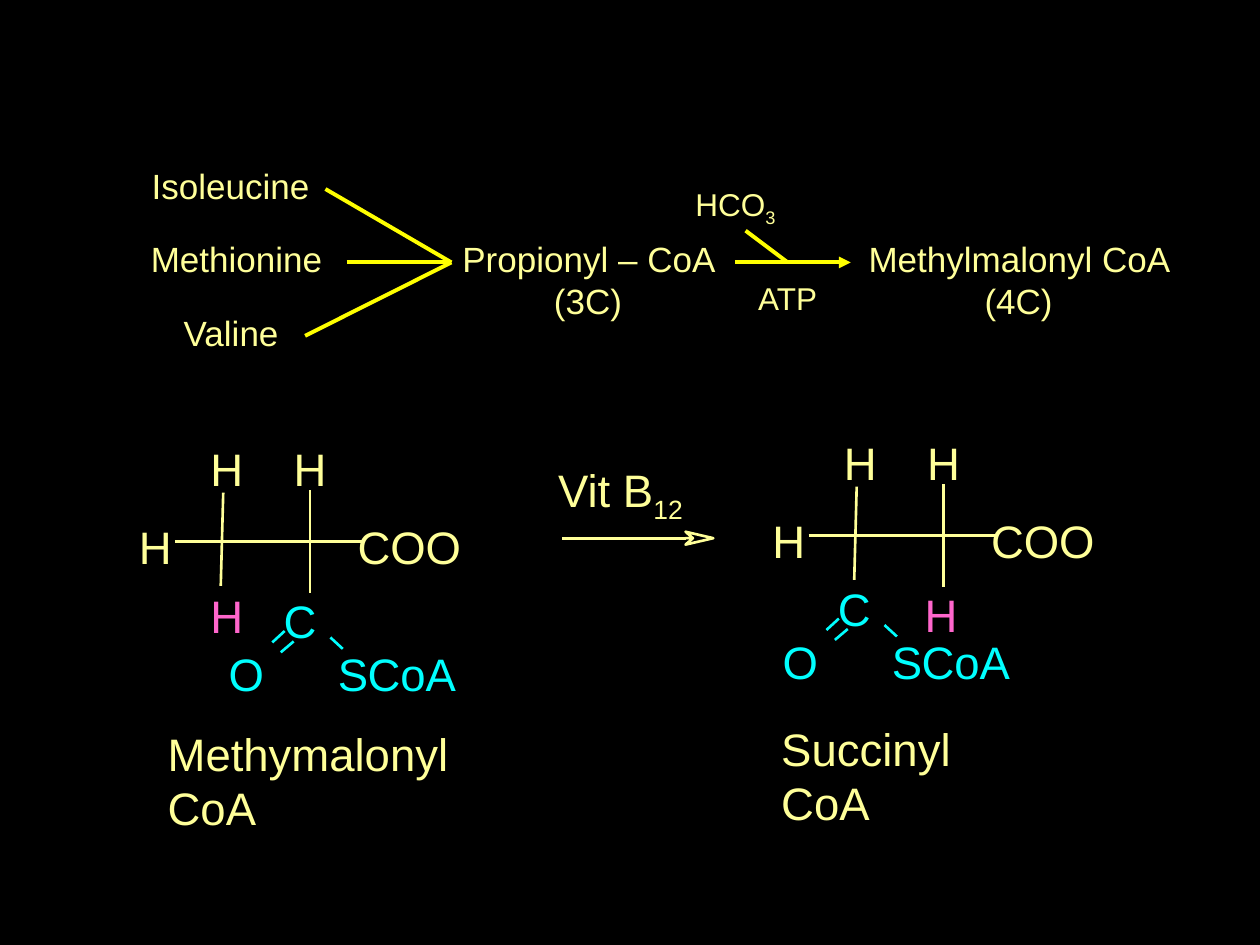
"""Build a slide on the path from amino acids to succinyl CoA."""
from lxml.etree import SubElement as Sub
from pptx import Presentation as Deck
from pptx.dml.color import RGBColor as Rgb
from pptx.enum.shapes import MSO_CONNECTOR as Link
from pptx.enum.text import MSO_ANCHOR as Anchor, PP_ALIGN as Align
from pptx.oxml.ns import qn
from pptx.util import Cm, Pt

HUES = {"back": "000000", "text": "FFFF99", "path": "FFFF00",
        "thio": "00FFFF", "move": "FF66CC"}
WIDTHS = {"H": 0.66, "C": 0.66, "O": 0.71, "S": 0.6, "o": 0.51, "A": 0.6}


def hue(name):
    """Return a named colour."""
    return Rgb.from_string(HUES[name])


def add_text(slide, box, runs, size=26, tone="text", align=Align.LEFT,
             pad=0.0, wrap=False):
    """Add a text box from (text, is_subscript) runs."""
    frame = slide.shapes.add_textbox(*map(Cm, box)).text_frame
    frame.word_wrap = wrap
    frame.vertical_anchor = Anchor.TOP
    frame.margin_left = frame.margin_right = Cm(2 * pad)
    frame.margin_top = frame.margin_bottom = Cm(pad)
    para = frame.paragraphs[0]
    para.alignment = align
    for text, sub in runs:
        run = para.add_run()
        run.text = text
        run.font.name = "Arial"
        run.font.size = Pt(size)
        run.font.color.rgb = hue(tone)
        if sub:
            run.font._element.set("baseline", "-25000")


def add_label(slide, box, runs, size=20, align=Align.CENTER):
    """Add a padded, wrapping label of the upper path."""
    add_text(slide, box, runs, size, align=align, pad=0.13, wrap=True)


def add_line(slide, ends, tone="text", width=1.5, head=False):
    """Add a straight line, with an arrowhead if asked."""
    line = slide.shapes.add_connector(Link.STRAIGHT, *map(Cm, ends))
    line.line.color.rgb = hue(tone)
    line.line.width = Pt(width)
    if head:
        Sub(line.line._get_or_add_ln(), qn("a:tailEnd"), type="triangle")
    Sub(line._element.spPr, qn("a:effectLst"))


def add_atoms(slide, x, y, atoms, tone="text"):
    """Set atom letters side by side."""
    for atom in atoms:
        add_text(slide, (x, y, WIDTHS[atom], 1.09), [(atom, False)], tone=tone)
        x += WIDTHS[atom]


def add_group(slide, x, y, atoms, bonds, tone="text"):
    """Place atoms and bonds around one point."""
    for dx, dy, name in atoms:
        add_atoms(slide, x + dx, y + dy, name, tone)
    for x1, y1, x2, y2 in bonds:
        add_line(slide, (x + x1, y + y1, x + x2, y + y2), tone)


def add_model(slide, core, thio, move):
    """Draw one molecule: carbon core, thioester and moving hydrogen."""
    add_group(slide, *core,
              [(-3.45, -0.46, "H"), (-2.01, -2.03, "H"),
               (-0.33, -2.03, "H"), (0.96, -0.46, "COO")],
              [(-2.72, 0, 0, 0), (0, 0, 0, -1.04), (0, 0, 1.06, 0),
               (0, 0, 0, 1.04), (-1.75, -0.99, -1.8, 0.89)])
    add_group(slide, *thio,
              [(0, 0, "C"), (-1.11, 1.07, "O"), (1.09, 1.07, "SCoA")],
              [(0.02, 0.76, -0.23, 0.99), (0.2, 0.97, -0.06, 1.19),
               (0.94, 0.89, 1.19, 1.12)], "thio")
    add_atoms(slide, *move, "H", "move")


def add_barb(slide, x, y):
    """Add the open barbed head of the reaction arrow."""
    tips = [(0.15, 0), (0, -0.13), (0.56, 0), (0, 0.13), (0.15, 0)]
    form = slide.shapes.build_freeform(Cm(x), Cm(y))
    form.add_line_segments([(Cm(x + dx), Cm(y + dy)) for dx, dy in tips])
    barb = form.convert_to_shape()
    barb.shadow.inherit = False
    barb.fill.solid()
    barb.fill.fore_color.rgb = hue("back")
    barb.line.color.rgb = hue("text")
    barb.line.width = Pt(1.5)


def add_path(slide):
    """Draw the upper path from amino acids to methylmalonyl CoA."""
    acids = [("Isoleucine", (0.84, 3.18, 7.62), (6.56, 3.81)),
             ("Methionine", (0.64, 4.65, 8.26), (6.99, 5.29)),
             ("Valine", (0, 6.15, 9.32), (6.15, 6.77))]
    for name, box, start in acids:
        add_label(slide, (*box, 1.09), [(name, False)])
        add_line(slide, (*start, 9.1, 5.29), "path", 2.25)
    for x, name in ((8.47, "Propionyl – CoA (3C)"),
                    (17.15, "Methylmalonyl CoA (4C)")):
        add_label(slide, (x, 4.65, 6.77, 1.96), [(name, False)])
    add_line(slide, (14.82, 5.29, 17.15, 5.29), "path", 2.25, True)
    add_line(slide, (15.03, 4.65, 15.88, 5.29), "path", 2.25)
    add_label(slide, (13.76, 3.6, 2.75, 1.02),
              [("HCO", False), ("3", True)], 18, Align.LEFT)
    add_label(slide, (14.82, 5.5, 2.12, 1.02), [("ATP", False)], 18)


def main():
    """Build and save the slide."""
    deck = Deck()
    deck.slide_width, deck.slide_height = Cm(25.4), Cm(19.05)
    slide = deck.slides.add_slide(deck.slide_layouts[6])
    slide.background.fill.solid()
    slide.background.fill.fore_color.rgb = hue("back")
    add_path(slide)
    add_model(slide, (6.25, 10.92), (5.72, 11.96), (4.24, 11.86))
    add_model(slide, (19.02, 10.8), (16.89, 11.71), (18.64, 11.84))
    add_text(slide, (11.25, 9.32, 2.62, 1.09), [("Vit B", False), ("12", True)])
    add_line(slide, (11.33, 10.85, 13.82, 10.85))
    add_barb(slide, 13.82, 10.85)
    for box, name in (((3.38, 14.63, 7.5, 1.09), "Methymalonyl CoA"),
                      ((15.75, 14.53, 5.3, 1.09), "Succinyl CoA")):
        add_text(slide, box, [(name, False)], wrap=True)
    deck.save("out.pptx")


if __name__ == "__main__":
    main()
